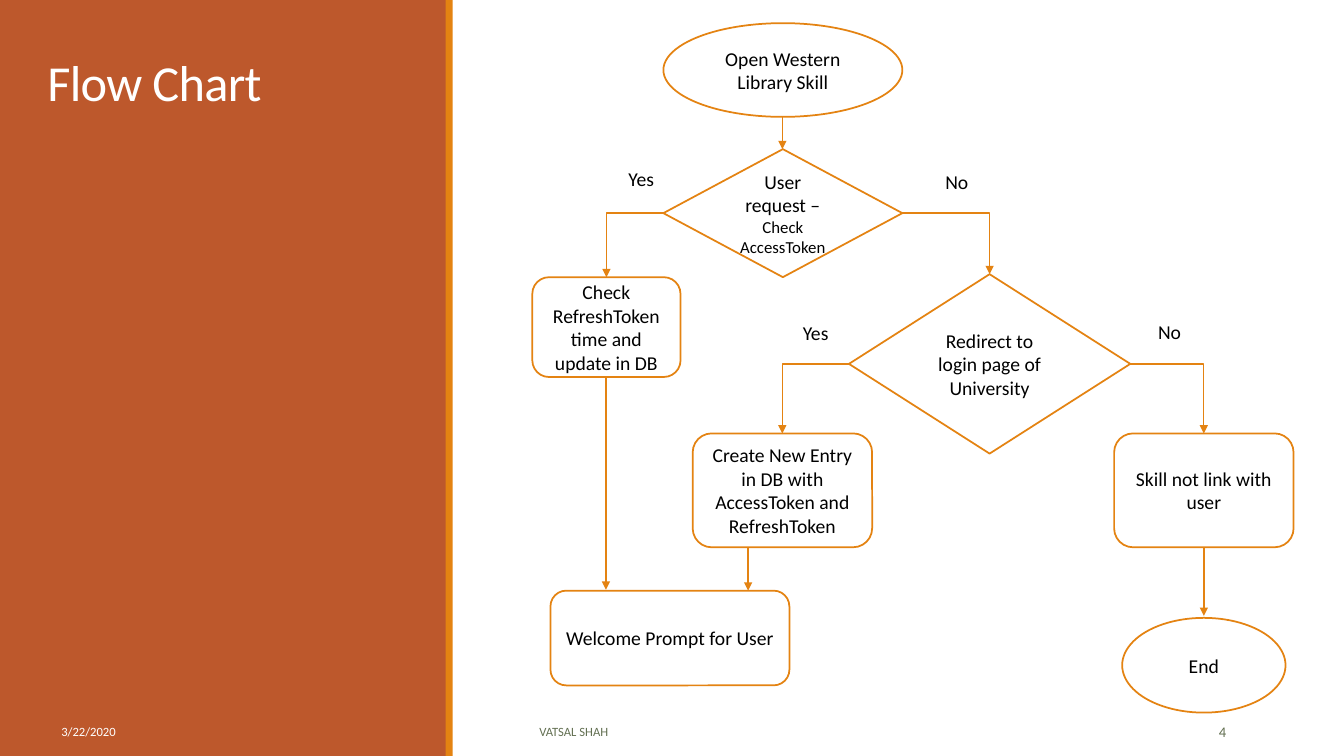
"""Build the flow chart slide of the library skill."""
from dataclasses import dataclass

from lxml import etree
from pptx import Presentation
from pptx.dml.color import RGBColor
from pptx.enum import shapes, text
from pptx.oxml import ns
from pptx.util import Inches, Pt

WHITE = RGBColor(0xFF, 0xFF, 0xFF)
BLACK = RGBColor(0, 0, 0)
RUST = RGBColor(0xBD, 0x58, 0x2C)
ORANGE = RGBColor(0xE4, 0x83, 0x12)
OLIVE = RGBColor(0x63, 0x70, 0x52)
FONT = "Calibri"
TOP, LEFT, BOTTOM, RIGHT = range(4)
SHAPE = shapes.MSO_SHAPE
ALIGN = text.PP_ALIGN


@dataclass
class Box:
    """A filled shape, with its place and its text runs as (words, points)."""
    kind: shapes.MSO_SHAPE
    place: tuple
    runs: tuple = ()
    fill: RGBColor = WHITE
    line: RGBColor | None = None


@dataclass
class Branch:
    """An elbow arrow from one side of a decision to the top of a step."""
    start: str
    side: int
    end: str


@dataclass
class Footer:
    """A line of small text at the foot of the slide."""
    words: str
    left: float
    width: float
    size: float
    color: RGBColor
    align: text.PP_ALIGN = ALIGN.LEFT


def step(kind: shapes.MSO_SHAPE, place: tuple, *runs: tuple) -> Box:
    """Describe an outlined step of the chart."""
    return Box(kind, place, runs, line=ORANGE)


def label(words: str, left: float, top: float, height: float) -> Box:
    """Describe the answer beside a branch."""
    return Box(SHAPE.RECTANGLE, (left, top, 0.7, height), ((words, 14),))


PANELS = [
    Box(SHAPE.RECTANGLE, (0, 0, 4.43, 7.5), fill=RUST),
    Box(SHAPE.RECTANGLE, (4.42, 0, 0.07, 7.5), fill=ORANGE),
]
STEPS = {
    "open": step(SHAPE.OVAL, (6.58, 0.23, 2.37, 0.93), ("Open Western Library Skill", 14)),
    "request": step(SHAPE.DIAMOND, (6.58, 1.48, 2.37, 1.27),
                    ("User request – ", 14), ("Check AccessToken", 12)),
    "refresh": step(SHAPE.ROUNDED_RECTANGLE, (5.28, 2.75, 1.47, 0.99),
                    ("Check RefreshToken time and update in DB", 14)),
    "login": step(SHAPE.DIAMOND, (8.42, 2.72, 2.79, 1.78),
                  ("Redirect to login page of University", 14)),
    "entry": step(SHAPE.ROUNDED_RECTANGLE, (6.87, 4.3, 1.78, 1.13),
                  ("Create New Entry in DB with AccessToken and RefreshToken", 14)),
    "unlinked": step(SHAPE.ROUNDED_RECTANGLE, (11.05, 4.3, 1.78, 1.13),
                     ("Skill not link with user", 14)),
    "end": step(SHAPE.OVAL, (11.13, 6.13, 1.62, 0.94), ("End", 14)),
    "welcome": step(SHAPE.ROUNDED_RECTANGLE, (5.46, 5.86, 2.37, 0.94),
                    ("Welcome Prompt for User", 14)),
}
BRANCHES = [
    Branch("request", LEFT, "refresh"),
    Branch("request", RIGHT, "login"),
    Branch("login", LEFT, "entry"),
    Branch("login", RIGHT, "unlinked"),
]
DROPS = [(7.76, 1.16, 1.48), (11.94, 5.44, 6.11), (7.42, 5.44, 5.86), (6.01, 3.74, 5.85)]
LABELS = [
    label("Yes", 6.01, 1.55, 0.44),
    label("No", 9.14, 1.6, 0.4),
    label("Yes", 7.74, 3.08, 0.44),
    label("No", 11.25, 3.09, 0.4),
]
FOOTERS = [
    Footer("3/22/2020", 0.51, 2.86, 9, WHITE),
    Footer("VATSAL SHAH", 5.25, 5.08, 9, OLIVE),
    Footer("4", 10.83, 1.43, 10.5, OLIVE, ALIGN.RIGHT),
]


def add_run(paragraph, words: str, size: float, color: RGBColor):
    """Add one formatted run and return it."""
    run = paragraph.add_run()
    run.text = words
    run.font.name, run.font.size = FONT, Pt(size)
    run.font.color.rgb = color
    return run


def add_box(slide, box: Box):
    """Draw a shape with centred text."""
    shape = slide.shapes.add_shape(box.kind, *map(Inches, box.place))
    shape.shadow.inherit = False
    shape.fill.solid()
    shape.fill.fore_color.rgb = box.fill
    if box.line is None:
        shape.line.fill.background()
    else:
        shape.line.color.rgb = box.line
        shape.line.width = Pt(1.25)
    frame = shape.text_frame
    frame.word_wrap = True
    frame.vertical_anchor = text.MSO_ANCHOR.MIDDLE
    paragraph = frame.paragraphs[0]
    paragraph.alignment = ALIGN.CENTER
    for words, size in box.runs:
        add_run(paragraph, words, size, BLACK)
    return shape


def add_arrow(slide, kind: shapes.MSO_CONNECTOR, x: float, top: float, bottom: float):
    """Draw a downward arrow."""
    arrow = slide.shapes.add_connector(kind, Inches(x), Inches(top), Inches(x), Inches(bottom))
    arrow.line.color.rgb = ORANGE
    arrow.line.width = Pt(1)
    properties = arrow._element.spPr
    line = properties.find(ns.qn("a:ln"))
    etree.SubElement(line, ns.qn("a:tailEnd"), type="triangle")
    etree.SubElement(properties, ns.qn("a:effectLst"))
    return arrow


def add_branch(slide, branch: Branch, steps: dict) -> None:
    """Draw an elbow arrow glued to its two steps."""
    arrow = add_arrow(slide, shapes.MSO_CONNECTOR.ELBOW, 0, 0, 0)
    arrow.begin_connect(steps[branch.start], branch.side)
    arrow.end_connect(steps[branch.end], TOP)
    arrow._element.spPr.find(ns.qn("a:prstGeom")).set("prst", "bentConnector2")


def add_title(slide, words: str) -> None:
    """Place the title above the side panel."""
    title = slide.shapes.title
    slide.shapes._spTree.append(title._element)
    title.left, title.top, title.width, title.height = map(Inches, (0.37, 0.5, 3.5, 0.66))
    frame = title.text_frame
    frame.word_wrap = True
    frame.auto_size = text.MSO_AUTO_SIZE.NONE
    frame.vertical_anchor = text.MSO_ANCHOR.BOTTOM
    paragraph = frame.paragraphs[0]
    paragraph.alignment = ALIGN.LEFT
    paragraph.line_spacing = 0.85
    run = add_run(paragraph, words, 36, WHITE)
    run._r.get_or_add_rPr().set("spc", "-50")


def add_footer(slide, footer: Footer) -> None:
    """Draw one footer text."""
    place = (footer.left, 7.06, footer.width, 0.4)
    frame = slide.shapes.add_textbox(*map(Inches, place)).text_frame
    frame.word_wrap = True
    frame.vertical_anchor = text.MSO_ANCHOR.MIDDLE
    paragraph = frame.paragraphs[0]
    paragraph.alignment = footer.align
    add_run(paragraph, footer.words, footer.size, footer.color)


def main() -> None:
    """Build and save the presentation."""
    presentation = Presentation()
    presentation.slide_width, presentation.slide_height = Inches(13.33), Inches(7.5)
    slide = presentation.slides.add_slide(presentation.slide_layouts[5])
    for panel in PANELS:
        add_box(slide, panel)
    add_title(slide, "Flow Chart")
    steps = {name: add_box(slide, box) for name, box in STEPS.items()}
    for branch in BRANCHES:
        add_branch(slide, branch, steps)
    for drop in DROPS:
        add_arrow(slide, shapes.MSO_CONNECTOR.STRAIGHT, *drop)
    for answer in LABELS:
        add_box(slide, answer)
    for footer in FOOTERS:
        add_footer(slide, footer)
    presentation.save("out.pptx")


if __name__ == "__main__":
    main()
